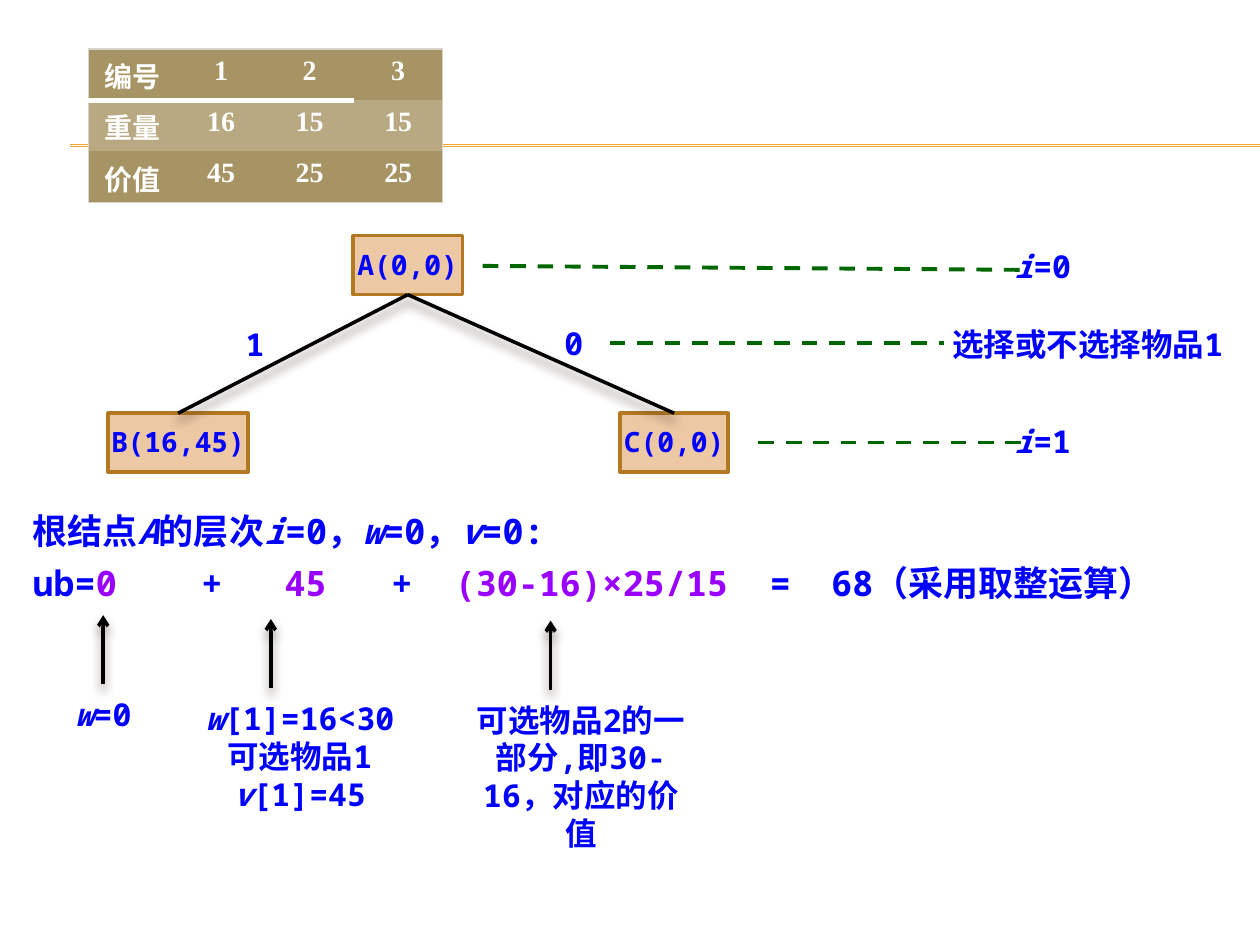
"""Build the knapsack branch-and-bound slide with its item table and bound formula."""
from lxml.etree import SubElement
from pptx import Presentation
from pptx.dml.color import RGBColor
from pptx.enum.dml import MSO_LINE
from pptx.enum.shapes import MSO_CONNECTOR, MSO_SHAPE
from pptx.enum.text import MSO_ANCHOR, PP_ALIGN
from pptx.oxml import parse_xml
from pptx.oxml.ns import nsdecls, qn
from pptx.util import Cm, Pt

THEME = {
    "blue": RGBColor.from_string("0000FF"),
    "violet": RGBColor.from_string("9900FF"),
    "white": RGBColor.from_string("FFFFFF"),
    "black": RGBColor.from_string("000000"),
    "green": RGBColor.from_string("006600"),
    "rule": RGBColor.from_string("F0A22E"),
    "node": RGBColor.from_string("ECC8A4"),
    "node_edge": RGBColor.from_string("B27822"),
    "row_dark": RGBColor.from_string("A69464"),
    "row_light": RGBColor.from_string("B8A983"),
    "table_edge": "D7D3C9",
    "shadow": "4E3B30",
    "mono": "Noto Sans Mono",
    "serif": "Times New Roman",
    "small": Pt(16),
    "label": Pt(18),
    "formula": Pt(20),
}


def write(frame, paragraphs, size, align=PP_ALIGN.LEFT, spacing=None, inset=0,
          font="mono", color="blue"):
    """Fill a text frame from lists of (text, style) runs."""
    frame.word_wrap = True
    frame.margin_left = frame.margin_right = Cm(inset)
    frame.margin_top = frame.margin_bottom = Cm(inset / 2)
    for index, runs in enumerate(paragraphs):
        para = frame.add_paragraph() if index else frame.paragraphs[0]
        para.alignment = align
        if spacing:
            para.line_spacing = spacing
        for text, style in runs:
            span = para.add_run()
            span.text = text
            span.font.name = THEME[font]
            span.font.size = THEME[size]
            span.font.bold = True
            span.font.italic = style == "italic"
            span.font.color.rgb = THEME["violet" if style == "violet" else color]


def draw_line(start, end, color, width, dashed=False, shadow=False, arrow=False):
    """Draw a straight connector between two points given in centimetres."""
    points = [Cm(value) for value in (*start, *end)]
    line = page.shapes.add_connector(MSO_CONNECTOR.STRAIGHT, *points)
    line.line.color.rgb = THEME[color]
    line.line.width = Pt(width)
    if dashed:
        line.line.dash_style = MSO_LINE.DASH
    if arrow:
        SubElement(line.line._get_or_add_ln(), qn("a:tailEnd"), type="arrow")
    effects = SubElement(line._element.spPr, qn("a:effectLst"))
    if shadow:
        effects.append(parse_xml(
            f'<a:outerShdw {nsdecls("a")} blurRad="{Pt(6)}" dist="{Pt(4)}" dir="5400000" '
            f'rotWithShape="0"><a:srgbClr val="{THEME["shadow"]}">'
            '<a:alpha val="60000"/></a:srgbClr></a:outerShdw>'))


deck = Presentation()
deck.slide_width, deck.slide_height = Cm(25.4), Cm(19.05)
page = deck.slides.add_slide(deck.slide_layouts[6])

for rule_top in (2.92, 2.95):
    draw_line((1.42, rule_top), (25.4, rule_top), "rule", 0.75)

for start, end in [
    ((9.73, 5.36), (20.65, 5.44)),
    ((12.29, 6.91), (19.02, 6.91)),
    ((15.29, 8.92), (20.6, 8.92)),
]:
    draw_line(start, end, "green", 2.25, dashed=True)

node_height = 1.19
root_top, child_top = 4.75, 8.33
root_center = 8.22
for name, center, top, width in [
    ("A(0,0)", root_center, root_top, 2.21),
    ("B(16,45)", 3.59, child_top, 2.82),
    ("C(0,0)", 13.59, child_top, 2.18),
]:
    node = page.shapes.add_shape(MSO_SHAPE.RECTANGLE, Cm(center - width / 2), Cm(top),
                                 Cm(width), Cm(node_height))
    node.shadow.inherit = False
    node.fill.solid()
    node.fill.fore_color.rgb = THEME["node"]
    node.line.color.rgb = THEME["node_edge"]
    node.line.width = Pt(2)
    node.text_frame.vertical_anchor = MSO_ANCHOR.MIDDLE
    write(node.text_frame, [[(name, "")]], "small", PP_ALIGN.CENTER, Pt(18))
    if top == child_top:
        draw_line((root_center, root_top + node_height), (center, child_top),
                  "black", 2, shadow=True)

for left, top, width, runs in [
    (20.45, 4.98, 1.42, [("i", "italic"), ("=0", "")]),
    (4.95, 6.55, 0.41, [("1", "")]),
    (11.38, 6.53, 0.41, [("0", "")]),
    (19.2, 6.55, 5.79, [("选择或不选择物品1", "")]),
    (20.45, 8.51, 1.6, [("i", "italic"), ("=1", "")]),
]:
    label = page.shapes.add_textbox(Cm(left), Cm(top), Cm(width), Cm(0.76))
    write(label.text_frame, [runs], "label")

formula = page.shapes.add_textbox(Cm(0.41), Cm(9.93), Cm(23.42), Cm(2.39))
write(formula.text_frame, [
    [("根结点", ""), ("A", "italic"), ("的层次", ""), ("i", "italic"), ("=0，", ""),
     ("w", "italic"), ("=0，", ""), ("v", "italic"), ("=0:", "")],
    [("ub=", ""), ("0", "violet"), ("\t+\t", ""), ("45", "violet"), ("\t+\t", ""),
     ("(30-16)×25/15", "violet"), ("\t=\t68（采用取整运算）", "")],
], "formula", spacing=Pt(30), inset=0.25)
tab_list = SubElement(formula.text_frame.paragraphs[1]._p.get_or_add_pPr(), qn("a:tabLst"))
for stop in (3.4, 5.08, 7.23, 8.51, 14.86, 16.1):
    SubElement(tab_list, qn("a:tab"), pos=str(Cm(stop)), algn="l")

for left, top, width, height, arrow_left, paragraphs in [
    (1.19, 13.89, 1.78, 1.02, 2.08, [[("w", "italic"), ("=0", "")]]),
    (3.76, 13.97, 4.57, 2.57, 5.46, [[("w", "italic"), ("[1]=16<30", "")],
                                     [("可选物品1", "")],
                                     [("v", "italic"), ("[1]=45", "")]]),
    (9.32, 14, 4.78, 2.57, 11.1, [[("可选物品2的一部分,即30-16，对应的价值", "")]]),
]:
    note = page.shapes.add_textbox(Cm(left), Cm(top), Cm(width), Cm(height))
    write(note.text_frame, paragraphs, "label", PP_ALIGN.CENTER, inset=0.25)
    draw_line((arrow_left, top - 0.1), (arrow_left, top - 1.49), "black", 2,
              shadow=True, arrow=True)

items = [("编号", "1", "2", "3"), ("重量", "16", "15", "15"), ("价值", "45", "25", "25")]
last_row, last_column = len(items) - 1, len(items[0]) - 1
table = page.shapes.add_table(len(items), len(items[0]), Cm(1.78), Cm(0.99),
                              Cm(7.14), Cm(3.09)).table
for row_index, values in enumerate(items):
    table.rows[row_index].height = Cm(1.03)
    for column_index, value in enumerate(values):
        cell = table.cell(row_index, column_index)
        write(cell.text_frame, [[(value, "")]], "small", PP_ALIGN.CENTER,
              font="serif", color="white")
        cell.margin_left = cell.margin_right = Cm(0.25)
        cell.margin_top = cell.margin_bottom = Cm(0.13)
        cell.fill.solid()
        cell.fill.fore_color.rgb = THEME["row_light" if row_index == 1 else "row_dark"]
        header_line = column_index < last_column
        edges = {
            "lnL": (column_index == 0, THEME["table_edge"], 0.79),
            "lnR": (column_index == last_column, THEME["table_edge"], 0.79),
            "lnT": (row_index == 0 or (row_index == 1 and header_line),
                    "FFFFFF" if row_index else THEME["table_edge"], 3 if row_index else 0.79),
            "lnB": (row_index == last_row or (row_index == 0 and header_line),
                    THEME["table_edge"] if row_index else "FFFFFF", 0.79 if row_index else 3),
        }
        properties = cell._tc.get_or_add_tcPr()
        for position, (tag, (shown, color, width)) in enumerate(edges.items()):
            paint = (f'<a:solidFill><a:srgbClr val="{color}"/></a:solidFill>'
                     if shown else "<a:noFill/>")
            properties.insert(position, parse_xml(
                f'<a:{tag} {nsdecls("a")} w="{Pt(width)}">{paint}</a:{tag}>'))

deck.save("out.pptx")
